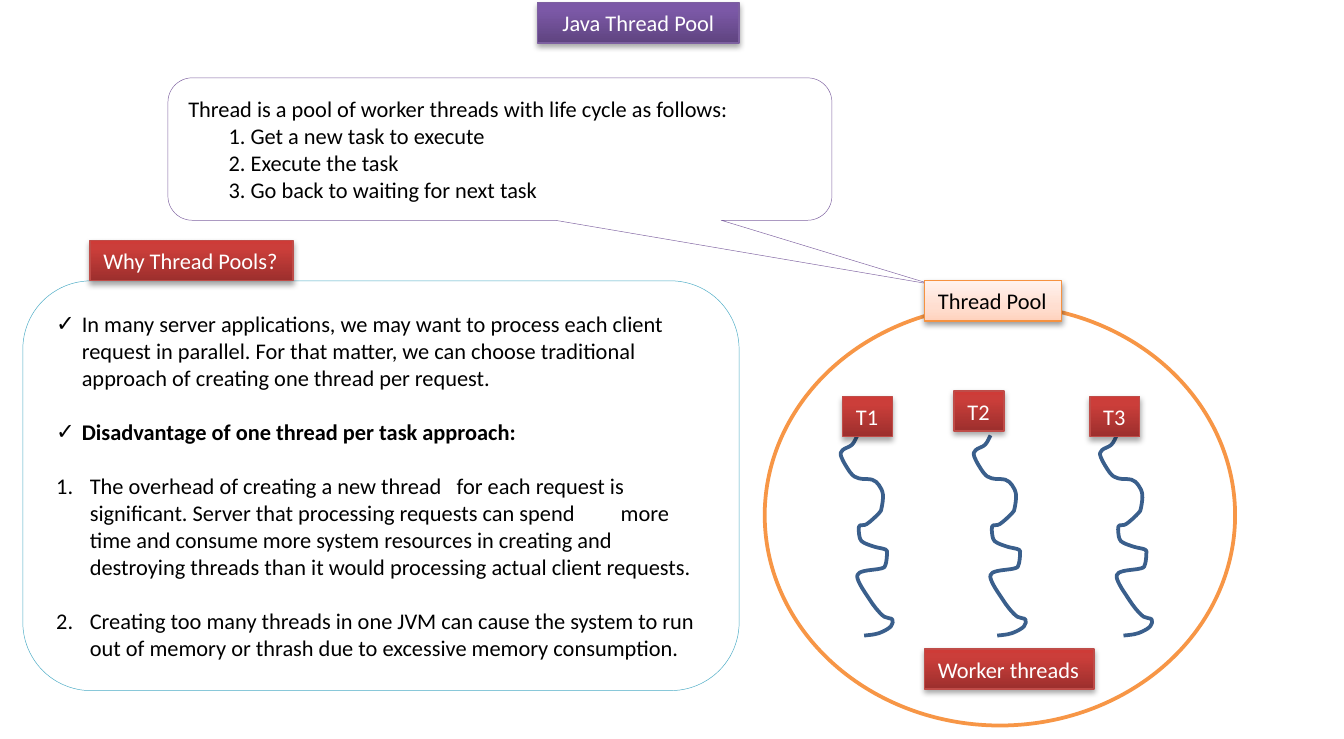
"""Build the Java Thread Pool slide."""
from dataclasses import dataclass

from pptx import Presentation, oxml, util as u
from pptx.dml.color import RGBColor
from pptx.enum import shapes as sh, text as tx
from pptx.oxml import ns

PX = 9144


@dataclass(frozen=True)
class Look:
    stops: tuple[tuple[int, str], ...]
    edge: str
    ink: str
    shade: int = 35


@dataclass(frozen=True)
class Theme:
    font: str = "Calibri"
    size: int = 12
    gap: float = 14.6
    ink: str = "000000"
    paper: str = "FFFFFF"
    ring: str = "F79646"
    thread: str = "3A5F8C"
    call: str = "8064A2"
    panel: str = "4BACC6"
    thin: float = 0.25
    edge: float = 0.75
    thick: float = 2
    purple: Look = Look(((0, "5F4480"), (80, "7B58A6"), (100, "7C57A8")), "7D60A0", "FFFFFF")
    red: Look = Look(((0, "9C2F2D"), (80, "CB3E3A"), (100, "CE3B37")), "BF4C48", "FFFFFF")
    peach: Look = Look(((0, "FFD2BD"), (35, "FFDED0"), (100, "FFF2ED")), "F69240", "000000", 38)


THEME = Theme()
LABEL_H = 30


@dataclass(frozen=True)
class Box:
    x: int
    y: int
    w: int
    h: int = LABEL_H


@dataclass(frozen=True)
class Label:
    text: str
    box: Box
    look: Look = THEME.red


@dataclass(frozen=True)
class Item:
    text: str
    mark: str = ""
    left: int = 0
    hang: int = 0
    gap: float = 0
    bold: bool = False
    tabs: tuple[int, ...] = ()


@dataclass(frozen=True)
class Task:
    name: str
    left: int
    top: int
    thread: int


CHECK = '<a:buChar {} char="✓"/>'
COUNT = '<a:buAutoNum {} type="arabicPeriod"/>'
STEPS = ("Get a new task to execute", "Execute the task", "Go back to waiting for next task")

CYCLE = [Item("Thread is a pool of worker threads with life cycle as follows:")]
CYCLE += [Item(f"{n}. {step}", left=30) for n, step in enumerate(STEPS, 1)]

REASONS = [
    Item("In many server applications, we may want to process each client request in parallel. "
         "For that matter, we can choose traditional approach of creating one thread per request.",
         CHECK, 19, 19),
    Item("Disadvantage of one thread per task approach:", CHECK, 19, 19, THEME.gap, True),
    Item("The overhead of creating a new thread\tfor each request is significant. Server that "
         "processing requests can spend\tmore time and consume more system resources in creating "
         "and destroying threads than it would processing actual client requests.",
         COUNT, 25, 25, THEME.gap, tabs=(298, 420)),
    Item("Creating too many threads in one JVM can cause the system to run out of memory or "
         "thrash due to excessive memory consumption.", COUNT, 25, 25, THEME.gap),
]

PANEL = Box(17, 209, 533, 305)
RING = Box(569, 227, 350, 313)
CALL = Box(125, 58, 494, 106)
CALL_TIP = (0.65, 0.95, 0.17)
POOL_LEFT = 688

TITLE = Label("Java Thread Pool", Box(400, 2, 150), THEME.purple)
NOTES = [
    Label("Thread Pool", Box(POOL_LEFT, PANEL.y, 102), THEME.peach),
    Label("Worker threads", Box(POOL_LEFT, 483, 126)),
    Label("Why Thread Pools?", Box(67, PANEL.y - LABEL_H, 151)),
]

TASK_W = 37
TASKS = [Task("T1", 627, 295, 626), Task("T2", 710, 291, 725), Task("T3", 811, 295, 819)]

THREAD_TOP = 324
HOOK = [(12, 0), (8, 7), (1, 11), (0, 16), (7, 28), (13, 32)]
UPPER = [(23, 33), (28, 37), (31, 44), (30, 54), (28, 58), (19, 66)]
MIDDLE = [(14, 67), (13, 70), (14, 77), (17, 80), (25, 83)]
LOWER = [(33, 85), (34, 88), (33, 96), (30, 99), (17, 101)]
TAIL = [(12, 104), (14, 111), (21, 122), (26, 129), (32, 135)]
FOOT = [(38, 137), (37, 142), (31, 146), (25, 148), (17, 149)]
KNOTS = HOOK + UPPER + MIDDLE + LOWER + TAIL + FOOT


def make(form: str):
    """Parse an XML form whose empty braces stand for the namespace."""
    return oxml.parse_xml(form.replace("{}", ns.nsdecls("a"), 1))


def place(shape, box: Box) -> None:
    """Put a shape at its box."""
    shape.left, shape.top, shape.width, shape.height = (n * PX for n in (box.x, box.y, box.w, box.h))


def paint(shape, edge: str, width: float, fill: str | None = THEME.paper) -> None:
    """Set the fill and the outline."""
    if fill:
        shape.fill.solid()
        shape.fill.fore_color.rgb = RGBColor.from_string(fill)
    else:
        shape.fill.background()
    shape.line.color.rgb = RGBColor.from_string(edge)
    shape.line.width = u.Pt(width)


def write(para, text: str, *, ink: str = THEME.ink, bold: bool = False, align=tx.PP_ALIGN.LEFT) -> None:
    """Add one formatted run to a paragraph."""
    para.alignment = align
    run = para.add_run()
    run.text = text
    font = run.font
    font.name, font.size, font.bold = THEME.font, u.Pt(THEME.size), bold
    font.color.rgb = RGBColor.from_string(ink)


def set_frame(shape, wrap: bool):
    """Centre the text upright at a fixed shape size and return its frame."""
    frame = shape.text_frame
    frame.word_wrap, frame.auto_size = wrap, tx.MSO_AUTO_SIZE.NONE
    frame.vertical_anchor = tx.MSO_ANCHOR.MIDDLE
    return frame


def fill_list(shape, items: list[Item]) -> None:
    """Write the items with their bullets, indents and tabs."""
    frame = set_frame(shape, True)
    for i, item in enumerate(items):
        para = frame.add_paragraph() if i else frame.paragraphs[0]
        props = para._p.get_or_add_pPr()
        props.set("marL", str(item.left * PX))
        props.set("indent", str(-item.hang * PX))
        if item.mark:
            props.append(make(item.mark))
        if item.tabs:
            stops = "".join(f'<a:tab pos="{t * PX}" algn="l"/>' for t in item.tabs)
            props.append(make("<a:tabLst {}>" + stops + "</a:tabLst>"))
        para.space_before = u.Pt(item.gap)
        write(para, item.text, bold=item.bold)


def dress(shape, label: Label, wrap: bool = False, align=tx.PP_ALIGN.LEFT) -> None:
    """Give a shape the gradient, shadow and text of a label."""
    look = label.look
    place(shape, label.box)
    paint(shape, look.edge, THEME.edge)
    props = shape._element.spPr
    stops = "".join(f'<a:gs pos="{p * 1000}"><a:srgbClr val="{c}"/></a:gs>' for p, c in look.stops)
    props.replace(props.find(ns.qn("a:solidFill")), make(
        "<a:gradFill {}><a:gsLst>" + stops + '</a:gsLst><a:lin ang="16200000" scaled="0"/></a:gradFill>'))
    shape.shadow.inherit = False
    props.find(ns.qn("a:effectLst")).append(make(
        f'<a:outerShdw {{}} blurRad="{u.Pt(3.1)}" dist="{u.Pt(1.8)}" dir="5400000" rotWithShape="0">'
        f'<a:srgbClr val="000000"><a:alpha val="{look.shade * 1000}"/></a:srgbClr></a:outerShdw>'))
    write(set_frame(shape, wrap).paragraphs[0], label.text, ink=look.ink, align=align)


def add_shape(slide, kind, box: Box):
    """Add a preset shape without a shadow."""
    shape = slide.shapes.add_shape(kind, 0, 0, 1, 1)
    place(shape, box)
    shape.shadow.inherit = False
    return shape


def add_label(slide, label: Label) -> None:
    """Add a rectangular label."""
    dress(add_shape(slide, sh.MSO_SHAPE.RECTANGLE, label.box), label)


def bend(knots: list[tuple[int, int]]) -> list[tuple[int, int]]:
    """Return Bezier points, in EMU, of a smooth Catmull-Rom curve through the knots."""
    ends = [knots[0], *knots, knots[-1]]
    curve = []
    for prev, here, there, after in zip(ends, ends[1:], ends[2:], ends[3:]):
        leave = [h + (t - p) / 6 for p, h, t in zip(prev, here, there)]
        reach = [t - (a - h) / 6 for h, t, a in zip(here, there, after)]
        curve += [(round(x * PX), round(y * PX)) for x, y in (leave, reach, there)]
    return curve


def add_thread(slide, left: int) -> None:
    """Draw one wavy thread by turning each three line legs into a curve."""
    x, y = KNOTS[0]
    pen = slide.shapes.build_freeform(x * PX, y * PX)
    pen.add_line_segments(bend(KNOTS), close=False)
    shape = pen.convert_to_shape(left * PX, THREAD_TOP * PX)
    legs = list(shape._element.iter(ns.qn("a:lnTo")))
    for trio in zip(*[iter(legs)] * 3):
        curve = make("<a:cubicBezTo {}/>")
        trio[0].addprevious(curve)
        for leg in trio:
            curve.append(leg[0])
            leg.getparent().remove(leg)
    paint(shape, THEME.thread, THEME.thick, None)
    shape.shadow.inherit = False


def main() -> None:
    """Draw the slide from back to front."""
    deck = Presentation()
    deck.slide_width, deck.slide_height = 1000 * PX, 550 * PX
    slide = deck.slides.add_slide(deck.slide_layouts[1])
    title, body = slide.placeholders
    dress(title, TITLE, True, tx.PP_ALIGN.CENTER)
    place(body, PANEL)
    body._element.spPr.insert(1, make('<a:prstGeom {} prst="roundRect"><a:avLst/></a:prstGeom>'))
    paint(body, THEME.panel, THEME.thin)
    fill_list(body, REASONS)
    paint(add_shape(slide, sh.MSO_SHAPE.OVAL, RING), THEME.ring, THEME.thick)
    for task in TASKS:
        add_thread(slide, task.thread)
        add_label(slide, Label(task.name, Box(task.left, task.top, TASK_W)))
    call = add_shape(slide, sh.MSO_SHAPE.ROUNDED_RECTANGULAR_CALLOUT, CALL)
    for i, value in enumerate(CALL_TIP):
        call.adjustments[i] = value
    paint(call, THEME.call, THEME.thin)
    fill_list(call, CYCLE)
    for label in NOTES:
        add_label(slide, label)
    deck.save("out.pptx")


if __name__ == "__main__":
    main()
